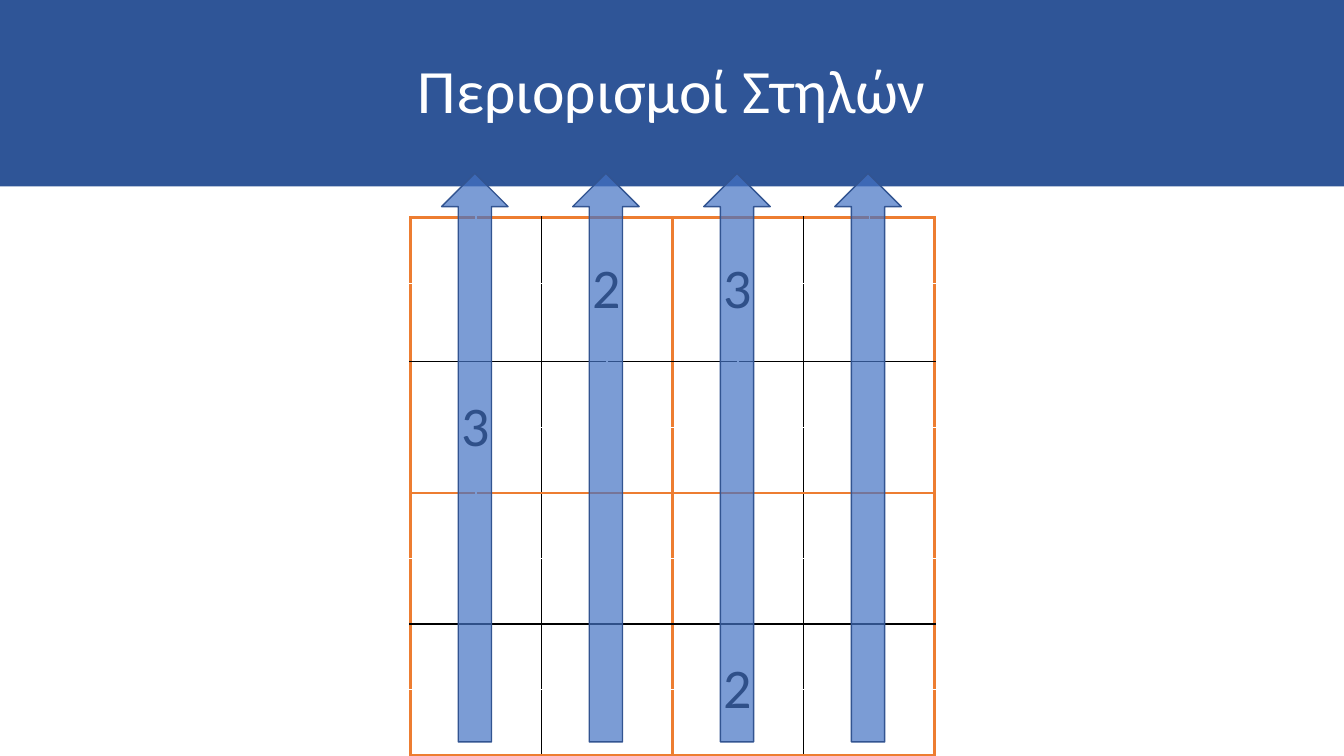
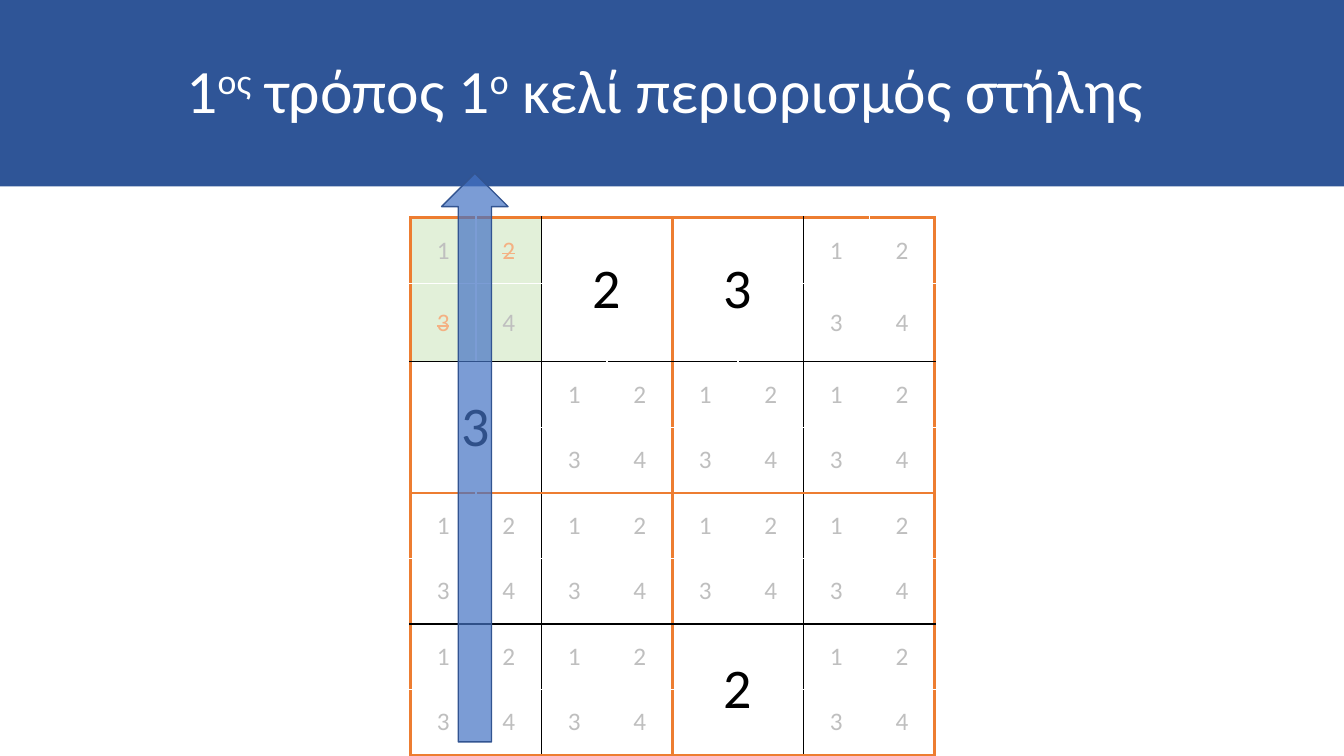
from lxml import etree
from pptx import Presentation
from pptx import util as u
from pptx.dml.color import RGBColor
from pptx.enum import shapes, text
from pptx.oxml.ns import qn

FONT = "Calibri"
BAND, WHITE, BLACK, ORANGE = "2F5597", "FFFFFF", "000000", "ED7D31"
ARROW, ARROW_EDGE = "4472C4", "325491"
NOTE, STRUCK, HIGHLIGHT = "BFBFBF", "F4B183", "E2F0D9"

BOARD = [".23.", "3...", "....", "..2."]
SIZE = 4
STEP = 0.65  # side of a quarter of a square
LEFT, TOP = 4.07, 2.16


def rgb(code):
    return RGBColor.from_string(code)


def grid_line(index):
    """Colour and width in points of the grid line with this index."""
    if index % 4 == 0:
        return ORANGE, 2.25
    return (BLACK if index % 2 == 0 else WHITE), 1


def set_borders(cell, row, column, span):
    properties = cell._tc.get_or_add_tcPr()
    edges = {"lnL": column, "lnR": column + span, "lnT": row, "lnB": row + span}
    for tag, index in edges.items():
        color, width = grid_line(index)
        line = etree.SubElement(properties, qn(f"a:{tag}"), w=str(u.Pt(width)))
        fill = etree.SubElement(line, qn("a:solidFill"))
        etree.SubElement(fill, qn("a:srgbClr"), val=color)


class Slides:
    """Holds the deck, its style and the current slide."""

    def __init__(self):
        self.deck = Presentation()
        self.deck.slide_width = u.Inches(13.33)
        self.deck.slide_height = u.Inches(7.5)
        self.page = None

    def add_page(self, *title):
        """Start a slide; every second part of the title is superscript."""
        self.page = self.deck.slides.add_slide(self.deck.slide_layouts[5])
        band = self.page.shapes.title
        band.left = band.top = 0
        band.width, band.height = self.deck.slide_width, u.Inches(1.85)
        band.fill.solid()
        band.fill.fore_color.rgb = rgb(BAND)
        frame = band.text_frame
        frame.auto_size = text.MSO_AUTO_SIZE.NONE
        frame.vertical_anchor = text.MSO_ANCHOR.MIDDLE
        para = frame.paragraphs[0]
        para.line_spacing = 0.9
        self.style(para, 44, WHITE)
        for index, part in enumerate(title):
            span = para.add_run()
            span.text = part
            if index % 2:
                span._r.get_or_add_rPr().set("baseline", "30000")

    def style(self, para, size, color):
        para.alignment = text.PP_ALIGN.CENTER
        para.font.name = FONT
        para.font.size = u.Pt(size)
        para.font.color.rgb = rgb(color)

    def write_digit(self, cell, digit, size, color, struck=False):
        cell.vertical_anchor = text.MSO_ANCHOR.MIDDLE
        para = cell.text_frame.paragraphs[0]
        span = para.add_run()
        span.text = digit
        self.style(para, size, color)
        if struck:
            span._r.get_or_add_rPr().set("strike", "sngStrike")

    def add_board(self, notes=False, active=None, struck=""):
        """Draw the puzzle; active is the marked square, struck its crossed-out notes."""
        count = 2 * SIZE
        side = u.Inches(STEP * count)
        table = self.page.shapes.add_table(
            count, count, u.Inches(LEFT), u.Inches(TOP), side, side).table
        table.first_row = table.horz_banding = False
        for line in table.columns:
            line.width = u.Inches(STEP)
        for line in table.rows:
            line.height = u.Inches(STEP)
        table.rows[1].height = u.Inches(0.78)  # room for a large digit

        for row in range(count):
            for column in range(count):
                square = row // 2, column // 2
                given = BOARD[square[0]][square[1]]
                cell = table.cell(row, column)
                if cell.is_spanned:
                    continue
                if given != ".":
                    cell.merge(table.cell(row + 1, column + 1))
                    set_borders(cell, row, column, 2)
                    self.write_digit(cell, given, 40, BLACK)
                else:
                    set_borders(cell, row, column, 1)
                    if notes:
                        digit = str(row % 2 * 2 + column % 2 + 1)
                        out = square == active and digit in struck
                        self.write_digit(cell, digit, 18, STRUCK if out else NOTE, out)
                if square == active:
                    cell.fill.solid()
                    cell.fill.fore_color.rgb = rgb(HIGHLIGHT)
                else:
                    cell.fill.background()

    def add_column_arrow(self, column):
        arrow = self.page.shapes.add_shape(
            shapes.MSO_SHAPE.UP_ARROW, u.Inches(4.38 + 2 * STEP * column),
            u.Inches(1.72), u.Inches(0.66), u.Inches(5.64))
        arrow.shadow.inherit = False
        arrow.fill.solid()
        arrow.fill.fore_color.rgb = rgb(ARROW)
        color = arrow._element.spPr.find(qn("a:solidFill"))[0]
        etree.SubElement(color, qn("a:alpha"), val="70000")
        arrow.line.color.rgb = rgb(ARROW_EDGE)
        arrow.line.width = u.Pt(1)


def main():
    slides = Slides()

    slides.add_page("Περιορισμοί Στηλών")
    slides.add_board()
    for column in range(SIZE):
        slides.add_column_arrow(column)

    slides.add_page("1", "ος", " τρόπος 1", "ο", " κελί περιορισμός στήλης ")
    slides.add_board(notes=True, active=(0, 0), struck="23")
    slides.add_column_arrow(0)

    slides.deck.save("out.pptx")


if __name__ == "__main__":
    main()
